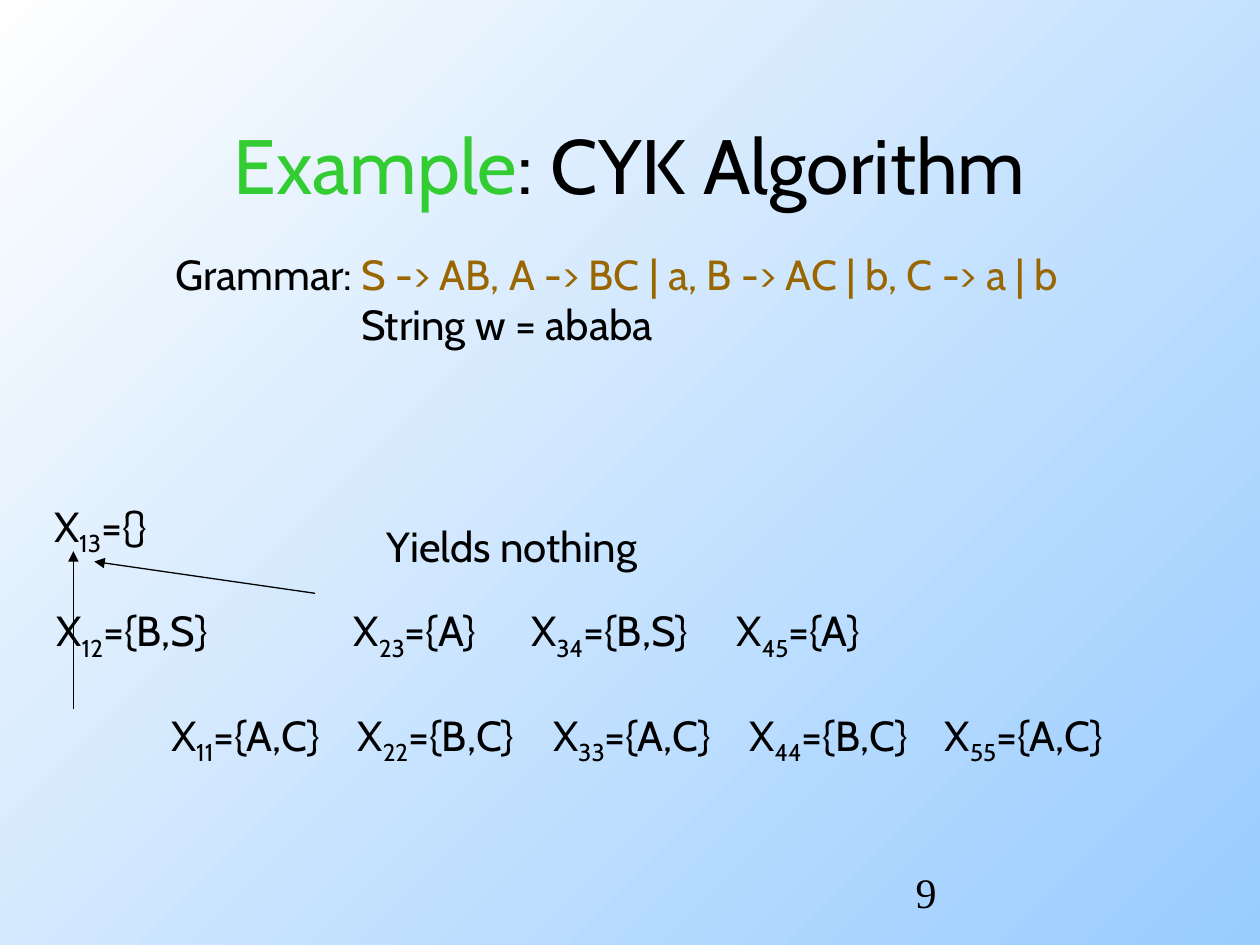
"""Build the CYK algorithm example slide."""
from dataclasses import dataclass
from typing import NamedTuple

from lxml import etree
from pptx import Presentation, util as u
from pptx.dml.color import RGBColor
from pptx.enum import shapes, text
from pptx.oxml.ns import qn

HUES = {"ink": "000000", "green": "33CC33", "brown": "996600",
        "sky": "99CCFF", "white": "FEFEFE"}
SANS, SERIF = "Cabin", "Times New Roman"


class Bit(NamedTuple):
    words: str
    hue: str = "ink"
    sub: bool = False


@dataclass
class Box:
    left: float
    top: float
    width: float
    height: float
    lines: list[list[Bit]]
    tabs: tuple[float, ...] = ()
    face: str = SANS


@dataclass
class Arrow:
    start: tuple[float, float]
    end: tuple[float, float]


def color(hue: str) -> RGBColor:
    """Return a palette colour."""
    return RGBColor.from_string(HUES[hue])


def cells(*pairs: tuple[str, str]) -> list[list[Bit]]:
    """Return one line of table cells, parted by tabs."""
    line = []
    for spot, (index, items) in enumerate(pairs):
        line += [Bit("\tX" if spot else "X"), Bit(index, sub=True),
                 Bit("={" + items + "}")]
    return [line]


def write(para, line: list[Bit], size: float, face: str) -> None:
    """Add formatted runs to a paragraph."""
    for bit in line:
        run = para.add_run()
        run.text = bit.words
        run.font.size = u.Pt(size)
        run.font.name = face
        run.font.color.rgb = color(bit.hue)
        if bit.sub:
            run.font._element.set("baseline", "-25000")


def set_tabs(para, stops: tuple[float, ...]) -> None:
    """Give a paragraph left tab stops in centimetres."""
    if not stops:
        return
    tabs = etree.SubElement(para._p.get_or_add_pPr(), qn("a:tabLst"))
    for stop in stops:
        etree.SubElement(tabs, qn("a:tab"), pos=str(u.Cm(stop)), algn="l")


def draw_box(slide, box: Box) -> None:
    """Draw a text box."""
    shape = slide.shapes.add_textbox(
        u.Cm(box.left), u.Cm(box.top), u.Cm(box.width), u.Cm(box.height))
    frame = shape.text_frame
    frame.word_wrap = True
    for spot, line in enumerate(box.lines):
        para = frame.add_paragraph() if spot else frame.paragraphs[0]
        set_tabs(para, box.tabs)
        write(para, line, 24, box.face)


def draw_arrow(slide, arrow: Arrow) -> None:
    """Draw a thin arrow."""
    ends = [u.Cm(n) for n in (*arrow.start, *arrow.end)]
    link = slide.shapes.add_connector(shapes.MSO_CONNECTOR.STRAIGHT, *ends)
    link.line.width = u.Pt(0.75)
    link.line.color.rgb = color("ink")
    etree.SubElement(link.line._get_or_add_ln(), qn("a:tailEnd"), type="triangle")
    etree.SubElement(link._element.spPr, qn("a:effectLst"))


def draw_title(slide, line: list[Bit]) -> None:
    """Place and fill the title."""
    title = slide.shapes.title
    title.left, title.top = u.Cm(1.9), u.Cm(1.7)
    title.width, title.height = u.Cm(21.6), u.Cm(3.18)
    frame = title.text_frame
    frame.vertical_anchor = text.MSO_ANCHOR.MIDDLE
    para = frame.paragraphs[0]
    para.alignment = text.PP_ALIGN.CENTER
    write(para, line, 44, SANS)


def paint(slide) -> None:
    """Fill the background with a diagonal gradient."""
    fill = slide.background.fill
    fill.gradient()
    fill.gradient_angle = 135
    for stop, hue in zip(fill.gradient_stops, ("sky", "white")):
        stop.color.rgb = color(hue)


BOXES = [
    Box(3.28, 4.88, 20.98, 2.29, [
        [Bit("Grammar: "),
         Bit("S -> AB, A -> BC | a, B -> AC | b, C -> a | b", "brown")],
        [Bit("\tString w = ababa")]], (3.75,)),
    Box(3.2, 14.17, 21.49, 1.42,
        cells(("11", "A,C"), ("22", "B,C"), ("33", "A,C"),
              ("44", "B,C"), ("55", "A,C")), (3.76, 7.7, 11.66, 15.6)),
    Box(0.89, 12.07, 3.94, 1.42, cells(("12", "B,S"))),
    Box(6.88, 12.07, 11.81, 1.42,
        cells(("23", "A"), ("34", "B,S"), ("45", "A")), (3.58, 7.72)),
    Box(0.84, 9.96, 2.69, 1.42, cells(("13", ""))),
    Box(7.54, 10.36, 6.17, 1.27, [[Bit("Yields nothing")]]),
    Box(18.21, 17.35, 5.28, 1.27, [[Bit("9")]], face=SERIF),
]
ARROWS = [Arrow((1.48, 14.29), (1.48, 11.11)),
          Arrow((6.35, 11.96), (1.9, 11.32))]


def main() -> None:
    """Build and save the deck."""
    deck = Presentation()
    deck.slide_width, deck.slide_height = u.Cm(25.4), u.Cm(19.05)
    slide = deck.slides.add_slide(deck.slide_layouts[5])
    paint(slide)
    draw_title(slide, [Bit("Example", "green"), Bit(": CYK Algorithm")])
    for box in BOXES:
        draw_box(slide, box)
    for arrow in ARROWS:
        draw_arrow(slide, arrow)
    deck.save("out.pptx")


if __name__ == "__main__":
    main()
